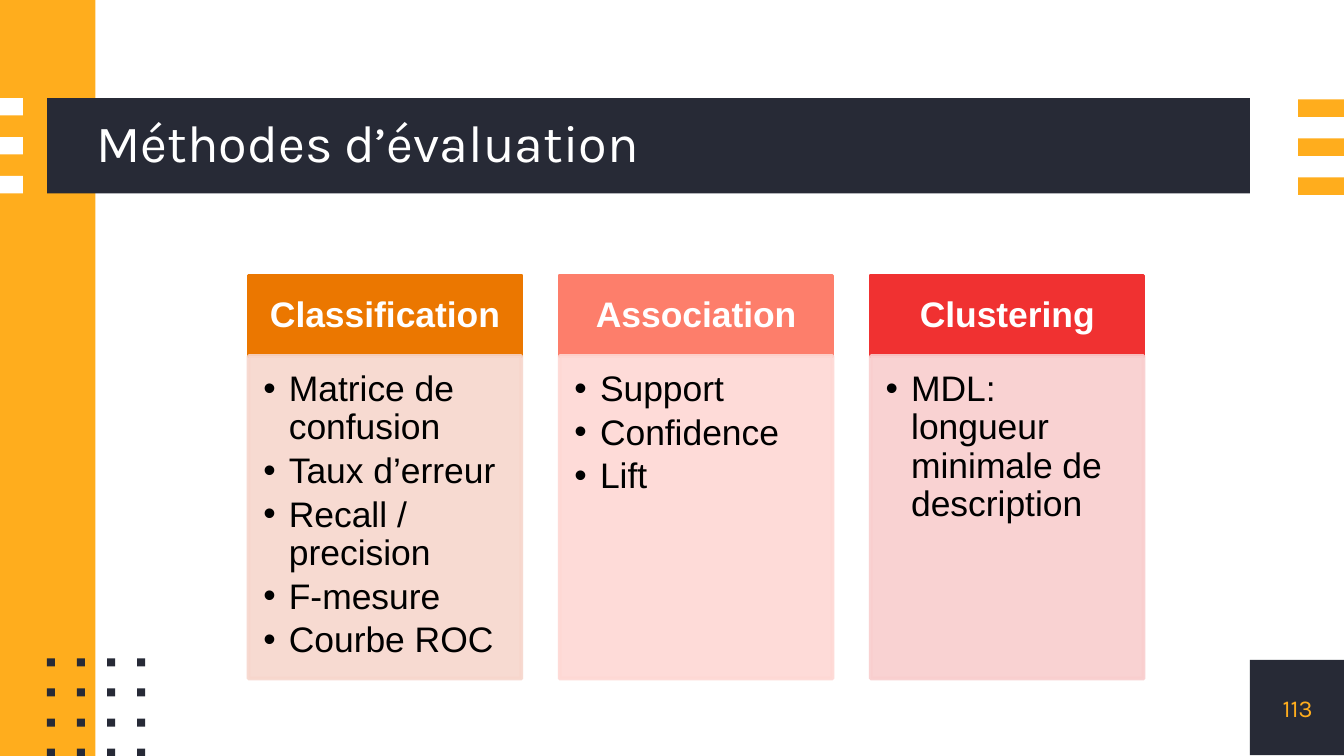
from dataclasses import dataclass

from lxml.etree import SubElement
from pptx import Presentation
from pptx.dml.color import RGBColor
from pptx.enum.shapes import MSO_SHAPE
from pptx.enum.text import MSO_ANCHOR, MSO_AUTO_SIZE, PP_ALIGN
from pptx.oxml.ns import qn
from pptx.util import Inches, Pt


@dataclass(frozen=True)
class Theme:
    """Colours, fonts and type sizes of the slide."""
    dark: str = "272A36"
    accent: str = "FFAD1D"
    white: str = "FFFFFF"
    black: str = "000000"
    heading_font: str = "Karla"
    body_font: str = "Arial"
    title_size: int = 28
    number_size: int = 13
    card_size: int = 19


THEME = Theme()
SLIDE_WIDTH = 10
SLIDE_HEIGHT = SLIDE_WIDTH * 9 / 16

CARDS = [
    ("Classification", "EB7700", "F7D6CC",
     ["Matrice de confusion", "Taux d’erreur", "Recall / precision", "F-mesure", "Courbe ROC"]),
    ("Association", "FD7E6B", "FED8D4", ["Support", "Confidence", "Lift"]),
    ("Clustering", "F03131", "F9CECE", ["MDL: longueur minimale de description"]),
]


def set_alpha(fill, percent):
    """Make a solid fill partly transparent."""
    colour = fill._xPr.find(qn("a:solidFill"))[0]
    SubElement(colour, qn("a:alpha"), val=str(percent * 1000))


def add_rectangle(slide, left, top, width, height, colour, border=0, alpha=100):
    """Add a flat rectangle with an optional border of its own colour."""
    shape = slide.shapes.add_shape(
        MSO_SHAPE.RECTANGLE, Inches(left), Inches(top), Inches(width), Inches(height))
    shape.shadow.inherit = False
    fills = [shape.fill]
    if border:
        shape.line.width = Pt(border)
        fills.append(shape.line.fill)
    else:
        shape.line.fill.background()
    for fill in fills:
        fill.solid()
        fill.fore_color.rgb = RGBColor.from_string(colour)
        if alpha < 100:
            set_alpha(fill, alpha)
    return shape


def add_bullet(paragraph, colour, indent):
    """Give a paragraph a coloured round bullet and a hanging indent."""
    properties = paragraph._p.get_or_add_pPr()
    properties.set("marL", str(Inches(indent)))
    properties.set("indent", str(-Inches(indent)))
    bullet_colour = SubElement(properties, qn("a:buClr"))
    SubElement(bullet_colour, qn("a:srgbClr"), val=colour)
    SubElement(properties, qn("a:buFont"), typeface=THEME.body_font)
    SubElement(properties, qn("a:buChar"), char="•")


def write_text(shape, lines, *, size, font, colour, bold=False, align=PP_ALIGN.LEFT,
               anchor=MSO_ANCHOR.MIDDLE, margins=(0, 0, 0, 0), line_spacing=0.9,
               space_after=0, bullet_indent=0):
    """Write one paragraph per line into a shape."""
    frame = shape.text_frame
    frame.word_wrap = True
    frame.auto_size = MSO_AUTO_SIZE.NONE
    frame.vertical_anchor = anchor
    frame.margin_left, frame.margin_top, frame.margin_right, frame.margin_bottom = map(
        Inches, margins)
    for index, line in enumerate(lines):
        paragraph = frame.add_paragraph() if index else frame.paragraphs[0]
        if bullet_indent:
            add_bullet(paragraph, colour, bullet_indent)
        paragraph.alignment = align
        paragraph.line_spacing = line_spacing
        paragraph.space_after = Pt(space_after)
        run = paragraph.add_run()
        run.text = line
        run.font.name = font
        run.font.size = Pt(size)
        run.font.bold = bold
        run.font.color.rgb = RGBColor.from_string(colour)


def add_stripes(slide, left, top, width, colour):
    """Add three short stacked stripes."""
    for row in range(3):
        add_rectangle(slide, left, top + row * 0.29, width, 0.13, colour)


def add_dots(slide, left, top, size):
    """Add a four by four grid of small squares that fills the box."""
    dot = 0.06
    pitch = (size - dot) / 3
    for row in range(4):
        for column in range(4):
            add_rectangle(slide, left + column * pitch, top + row * pitch,
                          dot, dot, THEME.dark)


def add_title(slide, left, top, width, height, text):
    """Add the dark title bar and put the title placeholder over it."""
    add_rectangle(slide, left, top, width, height, THEME.dark)
    title = slide.shapes.title
    inset = 0.37
    title.left, title.top = Inches(left + inset), Inches(top)
    title.width, title.height = Inches(width - inset), Inches(height)
    write_text(title, [text], size=THEME.title_size, font=THEME.heading_font,
               colour=THEME.white)
    title._element.getparent().append(title._element)


def add_page_number(slide, left, top, size, number):
    """Add the dark corner square with the page number."""
    square = add_rectangle(slide, left, top, size, size, THEME.dark)
    write_text(square, [number], size=THEME.number_size, font=THEME.heading_font,
               colour=THEME.accent, align=PP_ALIGN.CENTER, line_spacing=1)


def add_card(slide, left, top, width, height, card):
    """Add a coloured heading with a pale bulleted box below it."""
    heading, heading_colour, body_colour, items = card
    heading_height = 0.6
    header = add_rectangle(slide, left, top, width, heading_height, heading_colour, border=2)
    write_text(header, [heading], size=THEME.card_size, font=THEME.body_font,
               colour=THEME.white, bold=True, align=PP_ALIGN.CENTER,
               margins=(0.15, 0.08, 0.15, 0.08))
    body = add_rectangle(slide, left, top + heading_height, width, height - heading_height,
                         body_colour, border=2, alpha=90)
    write_text(body, items, size=THEME.card_size, font=THEME.body_font, colour=THEME.black,
               anchor=MSO_ANCHOR.TOP, margins=(0.11, 0.11, 0.15, 0.17),
               space_after=2.85, bullet_indent=0.19)


def add_cards(slide, left, top, width, height, cards):
    """Spread the cards evenly over the box."""
    card_width = 2.03
    pitch = (width - card_width) / (len(cards) - 1)
    for index, card in enumerate(cards):
        add_card(slide, left + index * pitch, top, card_width, height, card)


def main():
    """Build and save the slide."""
    presentation = Presentation()
    presentation.slide_width = Inches(SLIDE_WIDTH)
    presentation.slide_height = Inches(SLIDE_HEIGHT)
    slide = presentation.slides.add_slide(presentation.slide_layouts[5])
    add_rectangle(slide, 0, 0, 0.71, SLIDE_HEIGHT, THEME.accent)
    add_stripes(slide, 0, 0.73, 0.17, THEME.white)
    add_stripes(slide, 9.66, 0.74, 0.34, THEME.accent)
    add_dots(slide, 0.35, 4.9, 0.73)
    add_title(slide, 0.35, 0.73, 8.95, 0.71, "Méthodes d’évaluation")
    add_page_number(slide, 9.3, 4.91, 0.71, "113")
    add_cards(slide, 1.85, 2.05, 6.66, 3, CARDS)
    presentation.save("out.pptx")


if __name__ == "__main__":
    main()
